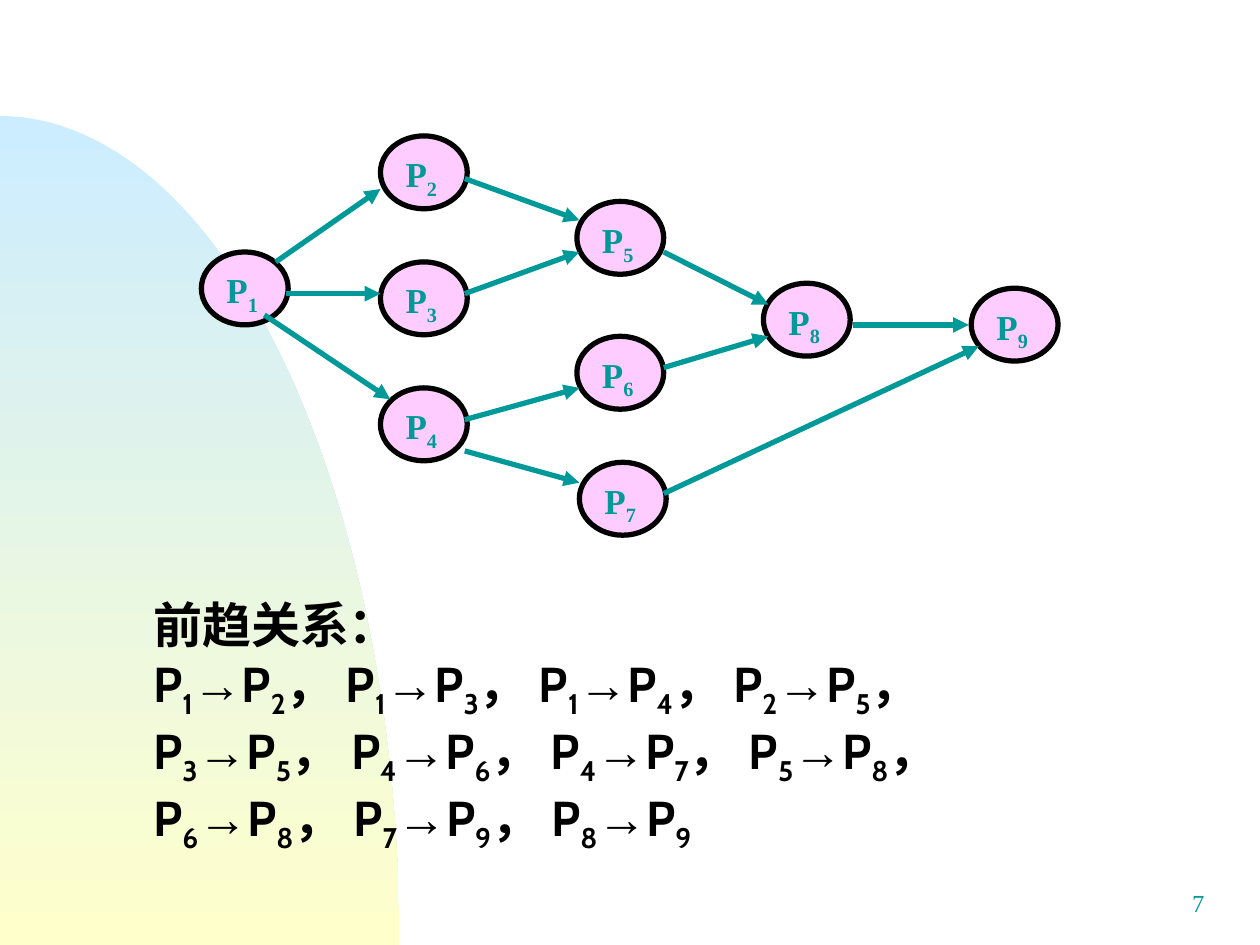
import math

import lxml.etree
import pptx
import pptx.dml.color
import pptx.enum.shapes
import pptx.enum.text
import pptx.oxml.ns
import pptx.util

Cm = pptx.util.Cm
RGBColor = pptx.dml.color.RGBColor
ALIGN = pptx.enum.text.PP_ALIGN

SKY = RGBColor(0xCC, 0xEC, 0xFF)
CREAM = RGBColor(0xFF, 0xFF, 0xCC)
PINK = RGBColor(0xFF, 0xCC, 0xFF)
TEAL = RGBColor(0x00, 0x99, 0x99)
BLACK = RGBColor(0x00, 0x00, 0x00)
INK = RGBColor(0x01, 0x00, 0x00)

NODE_WIDTH, NODE_HEIGHT = 1.75, 1.47
PROCESSES = {
    1: (0, 2.34), 2: (3.61, 0), 3: (3.61, 2.54), 4: (3.61, 5.08), 5: (7.57, 1.32),
    6: (7.57, 4.04), 7: (7.62, 6.58), 8: (11.33, 2.97), 9: (15.52, 3.07),
}
PRECEDENCES = {
    (1, 2): (1.5, 2.54, 3.61, 1.07),
    (1, 3): (1.7, 3.18, 3.61, 3.18),
    (1, 4): (1.27, 3.61, 3.81, 5.31),
    (2, 5): (5.31, 0.86, 7.62, 1.7),
    (3, 5): (5.31, 3.18, 7.62, 2.34),
    (4, 6): (5.31, 5.72, 7.62, 5.08),
    (4, 7): (5.31, 6.35, 7.62, 6.99),
    (5, 8): (9.32, 2.34, 11.43, 3.4),
    (6, 8): (9.32, 4.67, 11.43, 4.04),
    (7, 9): (9.32, 7.21, 15.67, 4.24),
    (8, 9): (13.13, 3.81, 15.47, 3.81),
}


def add_text(paragraph, text, *, size, font, color, bold=False, subscript=False):
    """Append a formatted run to a paragraph."""
    run = paragraph.add_run()
    run.text = text
    run.font.size = pptx.util.Pt(size)
    run.font.name = font
    run.font.bold = bold
    run.font.color.rgb = color
    if subscript:
        run.font._element.set("baseline", "-25000")


def add_process_name(paragraph, number, **text_format):
    """Append P with its number as a subscript."""
    add_text(paragraph, "P", **text_format)
    add_text(paragraph, str(number), subscript=True, **text_format)


def add_backdrop(slide, left, top, width, height):
    """Draw the gradient quarter ellipse in the lower left corner."""
    steps = 90
    arc = [
        (Cm(left + width * math.sin(angle)), Cm(top + height * (1 - math.cos(angle))))
        for angle in (math.pi / 2 * step / steps for step in range(steps + 1))
    ]
    builder = slide.shapes.build_freeform(*arc[0])
    builder.add_line_segments(arc[1:] + [(Cm(left), Cm(top + height))], close=True)
    hill = builder.convert_to_shape()
    hill.shadow.inherit = False
    hill.line.fill.background()
    hill.fill.gradient()
    hill.fill.gradient_angle = 270
    for stop, color in zip(hill.fill.gradient_stops, (SKY, CREAM)):
        stop.color.rgb = color


def add_process(shapes, number, left, top):
    """Draw one process as a labelled ellipse."""
    process = shapes.add_shape(
        pptx.enum.shapes.MSO_SHAPE.OVAL, Cm(left), Cm(top), Cm(NODE_WIDTH), Cm(NODE_HEIGHT)
    )
    process.shadow.inherit = False
    process.fill.solid()
    process.fill.fore_color.rgb = PINK
    process.line.color.rgb = BLACK
    process.line.width = pptx.util.Pt(3)
    process.text_frame.vertical_anchor = pptx.enum.text.MSO_ANCHOR.TOP
    label = process.text_frame.paragraphs[0]
    label.alignment = ALIGN.JUSTIFY
    add_process_name(label, number, size=20, font="Times New Roman", color=TEAL, bold=True)


def add_arrow(shapes, start_x, start_y, end_x, end_y):
    """Draw one precedence arrow."""
    arrow = shapes.add_connector(
        pptx.enum.shapes.MSO_CONNECTOR.STRAIGHT, Cm(start_x), Cm(start_y), Cm(end_x), Cm(end_y)
    )
    arrow.line.color.rgb = TEAL
    arrow.line.width = pptx.util.Pt(3)
    outline = arrow.line._get_or_add_ln()
    lxml.etree.SubElement(outline, pptx.oxml.ns.qn("a:tailEnd"), type="triangle")
    lxml.etree.SubElement(arrow._element.spPr, pptx.oxml.ns.qn("a:effectLst"))


def add_precedence_graph(slide, left, top):
    """Draw the grouped processes and the arrows between them."""
    graph = slide.shapes.add_group_shape().shapes
    for number, (x, y) in PROCESSES.items():
        add_process(graph, number, left + x, top + y)
    for start_x, start_y, end_x, end_y in PRECEDENCES.values():
        add_arrow(graph, left + start_x, top + start_y, left + end_x, top + end_y)


def add_relations(slide, left, top, width, height):
    """Write the heading and the list of precedence relations."""
    frame = slide.shapes.add_textbox(Cm(left), Cm(top), Cm(width), Cm(height)).text_frame
    frame.word_wrap = True
    style = {"size": 28, "color": INK, "bold": True}
    add_text(frame.paragraphs[0], "前趋关系：", font="Cabin", **style)
    relations = frame.add_paragraph()
    for index, (before, after) in enumerate(PRECEDENCES):
        if index:
            add_text(relations, "， ", font="Cabin", **style)
        add_process_name(relations, before, font="Cabin", **style)
        add_text(relations, "→", font="Arial", **style)
        add_process_name(relations, after, font="Cabin", **style)


def add_page_number(slide, left, top, width, height):
    """Write the page number at the right of its box."""
    frame = slide.shapes.add_textbox(Cm(left), Cm(top), Cm(width), Cm(height)).text_frame
    frame.word_wrap = True
    number = frame.paragraphs[0]
    number.alignment = ALIGN.RIGHT
    add_text(number, "7", size=14, font="Times New Roman", color=TEAL)


def main():
    """Build the slide and save it."""
    presentation = pptx.Presentation()
    presentation.slide_width, presentation.slide_height = Cm(25.4), Cm(19.05)
    slide = presentation.slides.add_slide(presentation.slide_layouts[6])
    add_backdrop(slide, 0, 2.34, 8.05, 16.71)
    add_page_number(slide, 19.25, 17.78, 5.28, 1.27)
    add_precedence_graph(slide, 4.06, 2.74)
    add_relations(slide, 2.84, 11.86, 19.74, 5.49)
    presentation.save("out.pptx")


if __name__ == "__main__":
    main()
